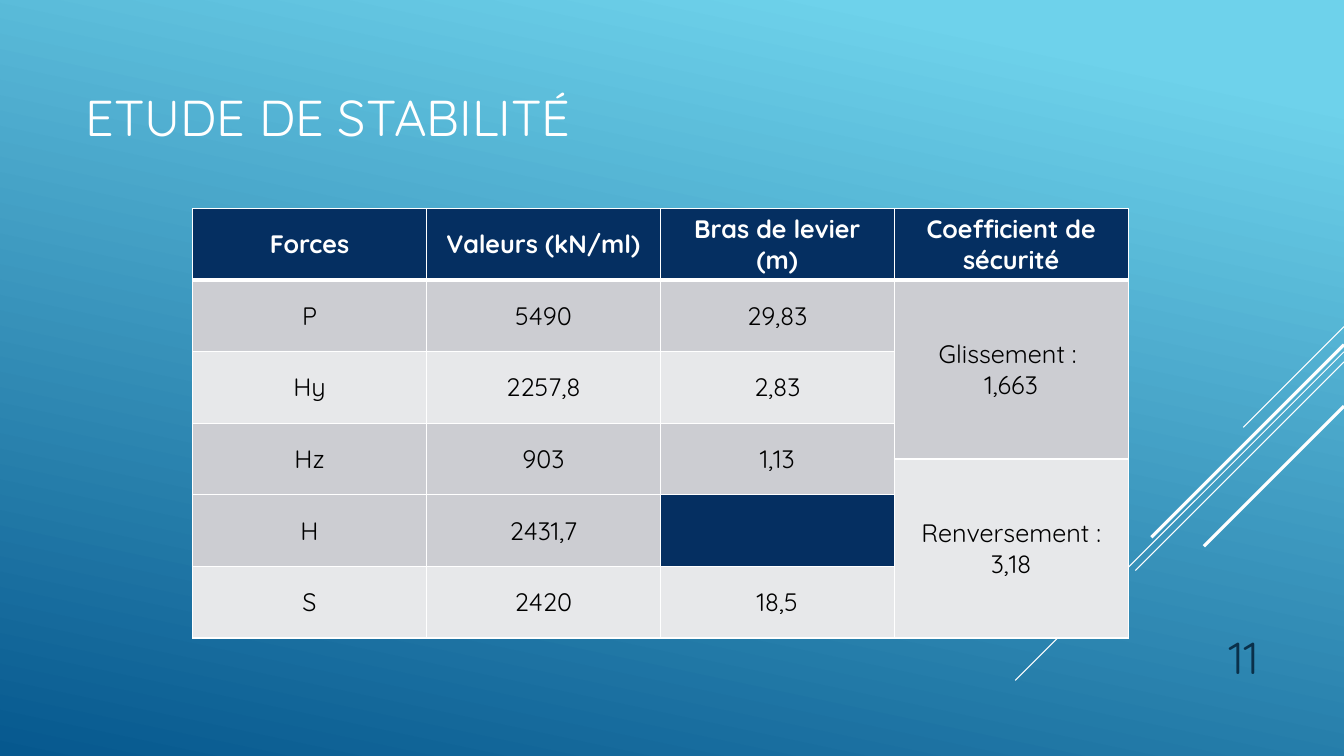
from dataclasses import dataclass

from lxml.etree import SubElement
from pptx import Presentation
from pptx.dml.color import RGBColor
from pptx.enum.text import MSO_ANCHOR, PP_ALIGN
from pptx.oxml import parse_xml
from pptx.oxml.ns import nsdecls, qn
from pptx.util import Inches, Pt

WIDTH, HEIGHT = 13.33, 7.5


@dataclass(frozen=True)
class Theme:
    font: str = "Quicksand"
    sky: str = "6ED2EB"
    sea: str = "06588E"
    white: str = "FFFFFF"
    black: str = "000000"
    navy: str = "052F61"
    number: str = "0A304A"
    band_dark: str = "CCCDD2"
    band_light: str = "E7E8EA"
    title_size: int = 36
    number_size: int = 32
    table_size: int = 18
    thin: float = 0.75
    bold: float = 2.25
    border: int = 1
    header_border: int = 3


THEME = Theme()

RAYS = [
    (3.24, 1, THEME.thin),
    (3.49, 3.26, THEME.thin),
    (3.59, 2.07, THEME.thin),
    (3.42, 1.91, THEME.bold),
    (4.03, 1.39, THEME.bold),
]

ROW_HEIGHT = 0.71
ROWS = [ROW_HEIGHT] * 3 + [ROW_HEIGHT / 2] * 2 + [ROW_HEIGHT] * 2
COLUMN_WIDTH = 2.32
HEADERS = ["Forces", "Valeurs (kN/ml)", "Bras de levier (m)", "Coefficient de sécurité"]
FORCES = [
    (1, 1, THEME.band_dark, ["P", "5490", "29,83"]),
    (2, 1, THEME.band_light, ["Hy", "2257,8", "2,83"]),
    (3, 2, THEME.band_dark, ["Hz", "903", "1,13"]),
    (5, 1, THEME.band_dark, ["H", "2431,7", ""]),
    (6, 1, THEME.band_light, ["S", "2420", "18,5"]),
]
COEFFICIENTS = [
    (1, THEME.band_dark, "Glissement : \n1,663"),
    (4, THEME.band_light, "Renversement :\n3,18"),
]


def color(code):
    return RGBColor.from_string(code)


def write(frame, text, size, code, align, bold=False):
    frame.text = text
    for para in frame.paragraphs:
        para.alignment = align
        for span in para.runs:
            span.font.name = THEME.font
            span.font.size = Pt(size)
            span.font.bold = bold
            span.font.color.rgb = color(code)


def paint_background(page):
    fill = page.background.fill
    fill.gradient()
    fill.gradient_angle = 360 - 102
    for stop, position, code in zip(fill.gradient_stops, (0.1, 1), (THEME.sky, THEME.sea)):
        stop.position = position
        stop.color.rgb = color(code)


def add_ray(page, top, reach, weight):
    ray = page.shapes.add_connector(
        1, Inches(WIDTH), Inches(top), Inches(WIDTH - reach), Inches(top + reach)
    )
    ray.line.color.rgb = color(THEME.white)
    ray.line.width = Pt(weight)
    SubElement(ray._element.spPr, qn("a:effectLst"))


def add_label(page, area, text, size, code, align):
    box = page.shapes.add_textbox(*(Inches(length) for length in area))
    box.text_frame.word_wrap = True
    box.text_frame.vertical_anchor = MSO_ANCHOR.BOTTOM
    write(box.text_frame, text, size, code, align)


def add_borders(cell, top, bottom):
    weights = {"L": THEME.border, "R": THEME.border, "T": top, "B": bottom}
    properties = cell._tc.get_or_add_tcPr()
    for index, (side, weight) in enumerate(weights.items()):
        properties.insert(index, parse_xml(
            f'<a:ln{side} {nsdecls("a")} w="{Pt(weight)}"><a:solidFill>'
            f'<a:srgbClr val="{THEME.white}"/></a:solidFill></a:ln{side}>'
        ))


def style_cells(table):
    for row_index, row in enumerate(table.rows):
        top = THEME.header_border if row_index == 1 else THEME.border
        bottom = THEME.header_border if row_index == 0 else THEME.border
        for cell in row.cells:
            cell.margin_top = cell.margin_bottom = Inches(0.01)
            cell.vertical_anchor = MSO_ANCHOR.MIDDLE
            add_borders(cell, top, bottom)


def fill_cell(table, row, column, text, background, code=THEME.black, bold=False, span=1):
    cell = table.cell(row, column)
    if span > 1:
        cell.merge(table.cell(row + span - 1, column))
    for offset in range(span):
        part = table.cell(row + offset, column)
        part.fill.solid()
        part.fill.fore_color.rgb = color(background)
    write(cell.text_frame, text, THEME.table_size, code, PP_ALIGN.CENTER, bold)


def add_stability_table(page, left, top):
    columns = len(HEADERS)
    table = page.shapes.add_table(
        len(ROWS), columns, Inches(left), Inches(top),
        Inches(COLUMN_WIDTH * columns), Inches(sum(ROWS)),
    ).table
    for row, height in zip(table.rows, ROWS):
        row.height = Inches(height)
    for column in table.columns:
        column.width = Inches(COLUMN_WIDTH)
    style_cells(table)
    for column, header in enumerate(HEADERS):
        fill_cell(table, 0, column, header, THEME.navy, THEME.white, bold=True)
    for row, span, band, values in FORCES:
        for column, value in enumerate(values):
            fill_cell(table, row, column, value, band if value else THEME.navy, span=span)
    for row, band, text in COEFFICIENTS:
        fill_cell(table, row, columns - 1, text, band, span=3)


def main():
    deck = Presentation()
    deck.slide_width, deck.slide_height = Inches(WIDTH), Inches(HEIGHT)
    page = deck.slides.add_slide(deck.slide_layouts[6])
    paint_background(page)
    for ray in RAYS:
        add_ray(page, *ray)
    add_label(page, (0.75, 0.5, 9.33, 1), "ETUDE DE STABILITÉ",
              THEME.title_size, THEME.white, PP_ALIGN.LEFT)
    add_label(page, (11.33, 6.1, 1.25, 0.73), "11",
              THEME.number_size, THEME.number, PP_ALIGN.RIGHT)
    add_stability_table(page, 1.91, 2.07)
    deck.save("out.pptx")


main()
